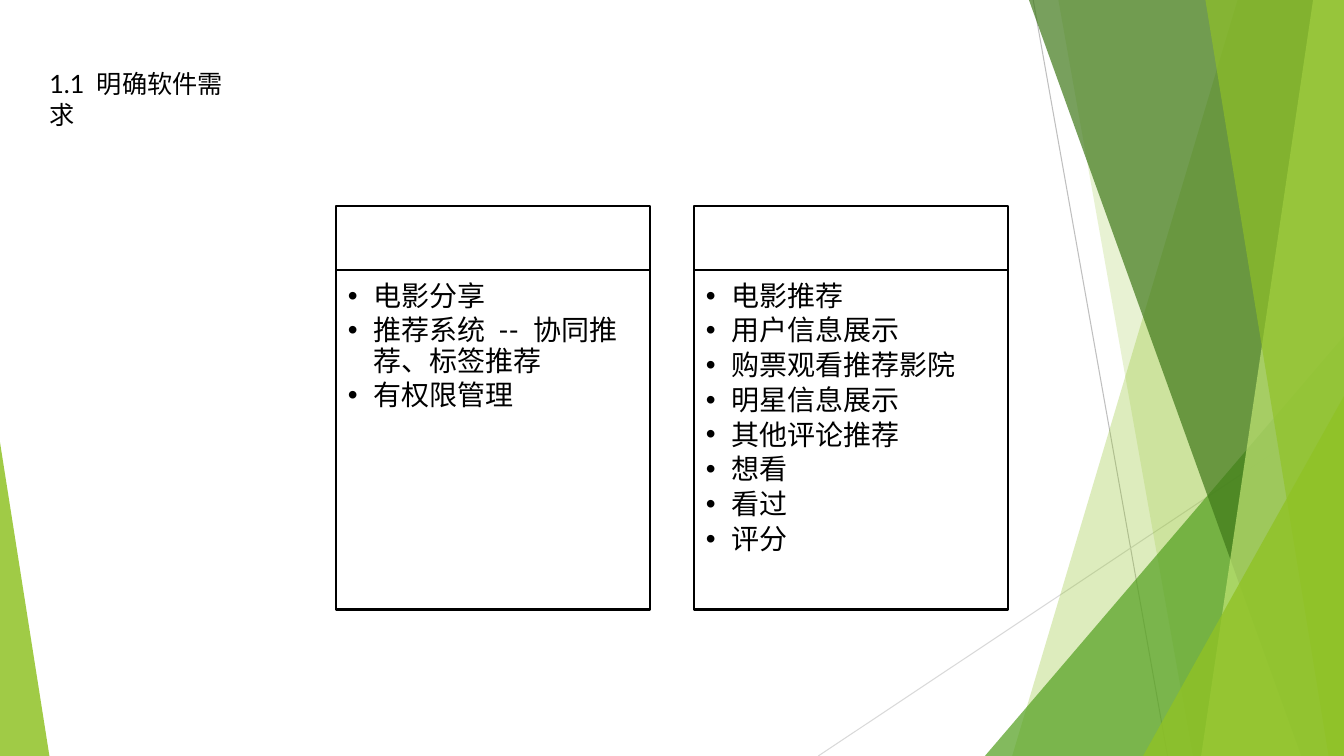
from pptx import Presentation
from pptx.dml.color import RGBColor
from pptx.enum.shapes import MSO_CONNECTOR, MSO_SHAPE
from pptx.enum.text import MSO_ANCHOR, MSO_AUTO_SIZE, PP_ALIGN
from pptx.oxml.ns import qn
from pptx.oxml.xmlchemy import OxmlElement
from pptx.util import Pt

LINE, RECT, TRI = MSO_CONNECTOR.STRAIGHT, MSO_SHAPE.RECTANGLE, MSO_SHAPE.ISOSCELES_TRIANGLE
TOP, LEFT, FIXED = MSO_ANCHOR.TOP, PP_ALIGN.LEFT, MSO_AUTO_SIZE.NONE

BLACK = RGBColor(0x00, 0x00, 0x00)
WHITE = RGBColor(0xFF, 0xFF, 0xFF)
GREY = RGBColor(0xBF, 0xBF, 0xBF)
PALE = RGBColor(0xD9, 0xD9, 0xD9)
LIME = RGBColor(0x90, 0xC2, 0x26)
GREEN = RGBColor(0x54, 0xA0, 0x21)
DARK = RGBColor(0x3F, 0x78, 0x19)
LIGHT = RGBColor(0xC0, 0xE4, 0x74)

FONT = "Lato"
WIDE, HIGH = 960, 540

TITLE = "1.1 明确软件需求"
LISTS = [
    ["电影分享", "推荐系统 -- 协同推荐、标签推荐", "有权限管理"],
    ["电影推荐", "用户信息展示", "购票观看推荐影院", "明星信息展示",
     "其他评论推荐", "想看", "看过", "评分"],
]


def tint(shape, color, alpha):
    """Fill a borderless shape with a colour at alpha percent opacity."""
    shape.shadow.inherit = False
    shape.line.fill.background()
    shape.fill.solid()
    shape.fill.fore_color.rgb = color
    node = OxmlElement("a:alpha")
    node.set("val", str(alpha * 1000))
    shape._element.spPr.find(".//" + qn("a:srgbClr")).append(node)


def frame(shape):
    shape.fill.solid()
    shape.fill.fore_color.rgb = WHITE
    shape.line.color.rgb = BLACK
    shape.line.width = Pt(1.5)


def place(shape, x, y, w, h):
    shape.left, shape.top, shape.width, shape.height = Pt(x), Pt(y), Pt(w), Pt(h)


def add_line(shapes, x1, y1, x2, y2, color):
    line = shapes.add_connector(LINE, Pt(x1), Pt(y1), Pt(x2), Pt(y2))
    line.line.color.rgb = color
    line.line.width = Pt(0.75)
    line._element.spPr.append(OxmlElement("a:effectLst"))


def add_facet(shapes, top, base, color, alpha):
    """Fill from a slanted left edge to the right side of the slide."""
    form = shapes.build_freeform(Pt(top), 0)
    form.add_line_segments([(Pt(WIDE), 0), (Pt(WIDE), Pt(HIGH)), (Pt(base), Pt(HIGH))])
    tint(form.convert_to_shape(), color, alpha)


def add_wedge(shapes, x, y, w, apex, color, alpha):
    """Stand a right triangle on the slide's foot."""
    wedge = shapes.add_shape(TRI, Pt(x), Pt(y), Pt(w), Pt(HIGH - y))
    wedge.adjustments[0] = apex
    tint(wedge, color, alpha)


def add_decor(shapes):
    add_line(shapes, 738, 0, 834, HIGH, GREY)
    add_line(shapes, WIDE, 290, 584.5, HIGH, PALE)
    add_facet(shapes, 884, 723, LIME, 30)
    add_facet(shapes, 756, 852, LIME, 20)
    add_wedge(shapes, 703.5, 240, WIDE - 703.5, 1, GREEN, 72)
    add_facet(shapes, 735, 929.5, DARK, 70)
    add_facet(shapes, 938, 858, LIGHT, 70)
    add_facet(shapes, 861, 949, LIME, 65)
    add_wedge(shapes, 816.5, 283, WIDE - 816.5, 1, LIME, 80)
    add_wedge(shapes, 0, 316, 35.3, 0, LIME, 85)


def style(para, size):
    para.alignment = LEFT
    para.font.name = FONT
    para.font.size = Pt(size)
    para.font.color.rgb = BLACK


def set_title(title, x, y, w, h):
    place(title, x, y, w, h)
    text = title.text_frame
    text.text = TITLE
    text.word_wrap = True
    text.auto_size = FIXED
    text.vertical_anchor = TOP
    style(text.paragraphs[0], 18)


def add_panel(shapes, body, items, x, y, w, h):
    """Put an empty header bar above a framed bullet list."""
    bar = 45.5
    head = shapes.add_shape(RECT, Pt(x), Pt(y), Pt(w), Pt(bar))
    head.shadow.inherit = False
    frame(head)
    place(body, x, y + bar, w, h - bar)
    frame(body)
    text = body.text_frame
    text.text = "\n".join(items)
    text.word_wrap = True
    text.auto_size = FIXED
    text.vertical_anchor = TOP
    text.margin_left = text.margin_top = Pt(8.5)
    text.margin_right, text.margin_bottom = Pt(11.5), Pt(12)
    for para in text.paragraphs:
        style(para, 20)
        para.line_spacing = 0.9
        para.space_before = Pt(0)
        para.space_after = Pt(3.2)
        props = para._p.get_or_add_pPr()
        props.set("marL", str(Pt(18)))
        props.set("indent", str(Pt(-18)))


def main():
    deck = Presentation()
    deck.slide_width, deck.slide_height = Pt(WIDE), Pt(HIGH)
    slide = deck.slides.add_slide(deck.slide_layouts[3])
    shapes = slide.shapes
    add_decor(shapes)
    set_title(shapes.title, 28, 45.5, 150.5, 29)
    for i, items in enumerate(LISTS):
        body = slide.placeholders[i + 1]
        add_panel(shapes, body, items, 240 + i * 255.75, 147.4, 224.5, 288)
    deck.save("out.pptx")


if __name__ == "__main__":
    main()
